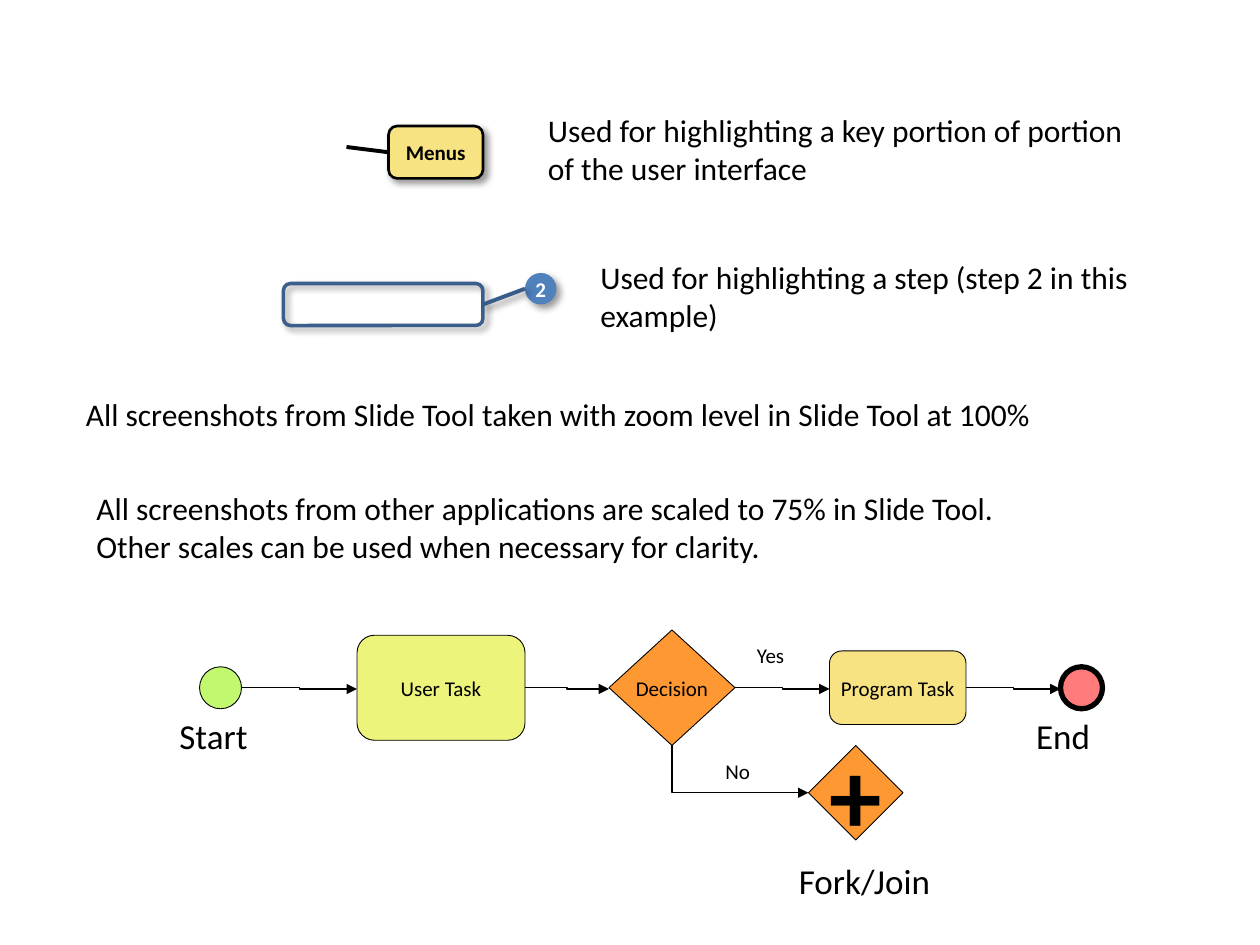
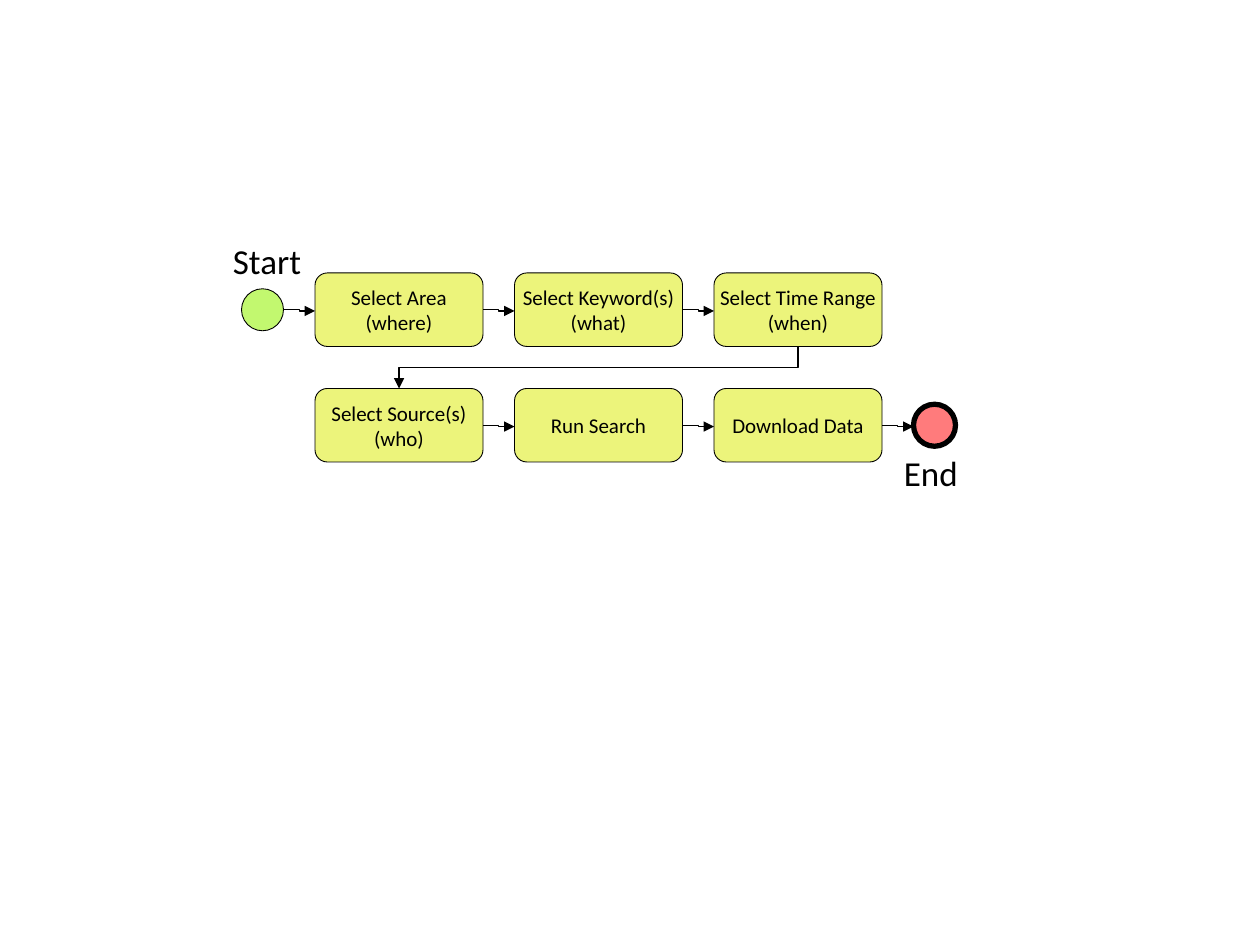
from lxml.etree import SubElement
from pptx import Presentation
from pptx.dml.color import RGBColor
from pptx.enum.shapes import MSO_CONNECTOR as Connector, MSO_SHAPE as Shape
from pptx.enum.text import MSO_ANCHOR as Anchor, MSO_AUTO_SIZE as AutoSize, PP_ALIGN as Align
from pptx.oxml.ns import qn
from pptx.util import Inches, Pt

# Grid: twelve cells to the inch, so 120 columns by 90 rows
CELL = Inches(1) // 12
FONT = "Calibri"
WIDE_INSETS = (Inches(0.34), Inches(0.17))
JOG = Inches(0.01)

BLACK = RGBColor(0x00, 0x00, 0x00)
WHITE = RGBColor(0xFF, 0xFF, 0xFF)
BLUE = RGBColor(0x4F, 0x81, 0xBD)
DARK_BLUE = RGBColor(0x3A, 0x5F, 0x8C)
LINE_BLUE = RGBColor(0x38, 0x5D, 0x8A)
YELLOW = RGBColor(0xF7, 0xE3, 0x82)
LIME = RGBColor(0xEC, 0xF4, 0x7B)
ORANGE = RGBColor(0xFE, 0x98, 0x33)
GREEN = RGBColor(0xC2, 0xF8, 0x6F)
RED = RGBColor(0xFF, 0x7B, 0x7C)


def cells(*counts):
    """Turn grid cells into lengths."""
    return [round(count * CELL) for count in counts]


def write(shape, text, size, color=BLACK, bold=False, align=Align.LEFT, insets=None):
    frame = shape.text_frame
    frame.text = text
    frame.word_wrap = False
    if insets:
        frame.margin_left = frame.margin_right = insets[0]
        frame.margin_top = frame.margin_bottom = insets[1]
    for paragraph in frame.paragraphs:
        paragraph.alignment = align
        font = paragraph.font
        font.name, font.size, font.bold = FONT, Pt(size), bold
        font.color.rgb = color


def add_label(slide, text, box, size, insets=None):
    label = slide.shapes.add_textbox(*cells(*box))
    write(label, text, size, insets=insets)
    label.text_frame.auto_size = AutoSize.SHAPE_TO_FIT_TEXT


def cast_shadow(effects):
    shadow = SubElement(effects, qn("a:outerShdw"), blurRad=str(Pt(4)), dist=str(Pt(3)),
                        dir="2700000", algn="tl", rotWithShape="0")
    color = SubElement(shadow, qn("a:srgbClr"), val=str(BLACK))
    SubElement(color, qn("a:alpha"), val="40000")


def add_block(slide, kind, box, fill=None, line=BLACK, width=0.5, shadow=False,
              text="", size=12, color=BLACK, bold=False, insets=None):
    block = slide.shapes.add_shape(kind, *cells(*box))
    block.shadow.inherit = False
    if shadow:
        cast_shadow(block.element.spPr.find(qn("a:effectLst")))
    if fill is None:
        block.fill.background()
    else:
        block.fill.solid()
        block.fill.fore_color.rgb = fill
    if line is None:
        block.line.fill.background()
    else:
        block.line.color.rgb = line
        block.line.width = Pt(width)
    if text:
        write(block, text, size, color, bold, Align.CENTER, insets)
        block.text_frame.vertical_anchor = Anchor.MIDDLE
    return block


def add_line(slide, kind, start, end, color=BLACK, width=0.75, shadow=False, arrow=False):
    line = slide.shapes.add_connector(kind, *start, *end)
    line.line.color.rgb = color
    line.line.width = Pt(width)
    properties = line.element.spPr
    if arrow:
        SubElement(properties.find(qn("a:ln")), qn("a:tailEnd"), type="triangle")
    effects = SubElement(properties, qn("a:effectLst"))
    if shadow:
        cast_shadow(effects)
    return line


def side(shape, x_share, y_share):
    """The point at these shares of a shape's width and height."""
    return (round(shape.left + x_share * shape.width),
            round(shape.top + y_share * shape.height))


def link_across(slide, *shapes):
    """Chain shapes from right side to left side."""
    for source, target in zip(shapes, shapes[1:]):
        x, y = side(source, 1, 0.5)
        add_line(slide, Connector.ELBOW, (x, y), (target.left, y + JOG), arrow=True)


def link_down(slide, start, end, preset):
    """An elbow that leaves its start downwards: a turned frame with swapped sides."""
    line = add_line(slide, Connector.ELBOW, start, end, arrow=True)
    run, drop = abs(end[0] - start[0]), abs(end[1] - start[1])
    line.left = (start[0] + end[0] - drop) // 2
    line.top = (start[1] + end[1] - run) // 2
    line.width, line.height = drop, run
    frame = line.element.spPr.find(qn("a:xfrm"))
    frame.attrib.pop("flipH", None)
    if end[0] < start[0]:
        frame.set("rot", "5400000")
    else:
        frame.set("rot", "16200000")
        frame.set("flipH", "1")
    line.element.spPr.find(qn("a:prstGeom")).set("prst", preset)


def add_task(slide, text, box, fill=LIME):
    return add_block(slide, Shape.FLOWCHART_ALTERNATE_PROCESS, box, fill,
                     text=text, insets=WIDE_INSETS)


def add_terminal(slide, text, left, top, label_left, label_top):
    """A start or end circle with its caption."""
    fill, width, label_width = {"Start": (GREEN, 0.5, 14.9), "End": (RED, 3, 13.4)}[text]
    add_label(slide, text, (label_left, label_top, label_width, 8.2), 20, WIDE_INSETS)
    return add_block(slide, Shape.FLOWCHART_CONNECTOR, (left, top, 4, 4), fill, width=width)


def menu_callout(slide, left, top):
    menus = add_block(slide, Shape.ROUNDED_RECTANGLE, (left + 4, top, 9, 5), YELLOW,
                      width=1.5, shadow=True, text="Menus", bold=True)
    pointer = add_line(slide, Connector.STRAIGHT, side(menus, 0, 0.5),
                       cells(left, top + 2), width=2.25)
    pointer.begin_connect(menus, 1)
    add_label(slide, "Used for highlighting a key portion of portion\vof the user interface",
              (left + 18, top - 2, 57.8, 8.5), 18)


def step_callout(slide, left, top):
    frame = add_block(slide, Shape.ROUNDED_RECTANGLE, (left, top + 1, 19, 4),
                      line=DARK_BLUE, width=2, shadow=True)
    number = add_block(slide, Shape.OVAL, (left + 23, top, 3, 3), BLUE, line=None,
                       shadow=True, text="2", color=WHITE, bold=True)
    pointer = add_line(slide, Connector.STRAIGHT, side(number, 0, 0.5), side(frame, 1, 0.5),
                       LINE_BLUE, 2.25, shadow=True)
    pointer.end_connect(frame, 3)
    add_label(slide, "Used for highlighting a step (step 2 in this\vexample)",
              (left + 29, top - 2, 53.3, 8.5), 18)


def screenshot_notes(slide, left, top):
    add_label(slide, "All screenshots from Slide Tool taken with zoom level in Slide Tool at 100%",
              (left, top, 97.7, 4.8), 18)
    add_label(slide, "All screenshots from other applications are scaled to 75% in Slide Tool.\v"
              "Other scales can be used when necessary for clarity.",
              (left + 1, top + 9, 92, 8.5), 18)


def symbol_flow(slide, left, top):
    # Main row
    start = add_terminal(slide, "Start", left + 6, top + 3.5, left, top + 6)
    user_task = add_task(slide, "User Task", (left + 21, top + 0.5, 16, 10))
    decision = add_block(slide, Shape.FLOWCHART_DECISION, (left + 45, top, 12, 11), ORANGE,
                         text="Decision")
    program_task = add_task(slide, "Program Task", (left + 66, top + 2, 13, 7), YELLOW)
    end = add_terminal(slide, "End", left + 88, top + 3.5, left + 81.6, top + 6)
    link_across(slide, start, user_task, decision, program_task, end)
    # Branch
    fork = add_block(slide, Shape.FLOWCHART_DECISION, (left + 64, top + 11, 9, 9), ORANGE,
                     text="+", size=60, bold=True)
    link_down(slide, side(decision, 0.5, 1), side(fork, 0, 0.5), "bentConnector2")
    # Captions
    add_label(slide, "Yes", (left + 55, top, 10.9, 6.6), 12, WIDE_INSETS)
    add_label(slide, "No", (left + 52, top + 11, 10.7, 6.6), 12, WIDE_INSETS)
    add_label(slide, "Fork/Join", (left + 59, top + 19.9, 20.9, 8.2), 20, WIDE_INSETS)


def search_flow(slide, left, top):
    steps = [["Select Area\v(where)", "Select Keyword(s)\n(what)", "Select Time Range\n(when)"],
             ["Select Source(s)\n(who)", "Run Search", "Download Data"]]
    first_row, second_row = [
        [add_task(slide, text, (left + 7 + 19 * column, top + 11 * row, 16, 7))
         for column, text in enumerate(texts)]
        for row, texts in enumerate(steps)]
    start = add_terminal(slide, "Start", left, top + 1.5, left - 4.9, top - 5.2)
    end = add_terminal(slide, "End", left + 64, top + 12.5, left + 59, top + 15)
    link_across(slide, start, *first_row)
    link_down(slide, side(first_row[-1], 0.5, 1), side(second_row[0], 0.5, 0),
              "bentConnector3")
    link_across(slide, *second_row, end)


def main():
    presentation = Presentation()
    presentation.slide_width, presentation.slide_height = cells(120, 90)
    blank = presentation.slide_layouts[6]

    # Slide 1: conventions
    slide = presentation.slides.add_slide(blank)
    menu_callout(slide, 33, 12)
    step_callout(slide, 27, 26)
    screenshot_notes(slide, 7, 37)
    symbol_flow(slide, 13, 60)

    # Slide 2: search process
    slide = presentation.slides.add_slide(blank)
    search_flow(slide, 23, 26)

    presentation.save("out.pptx")


if __name__ == "__main__":
    main()
